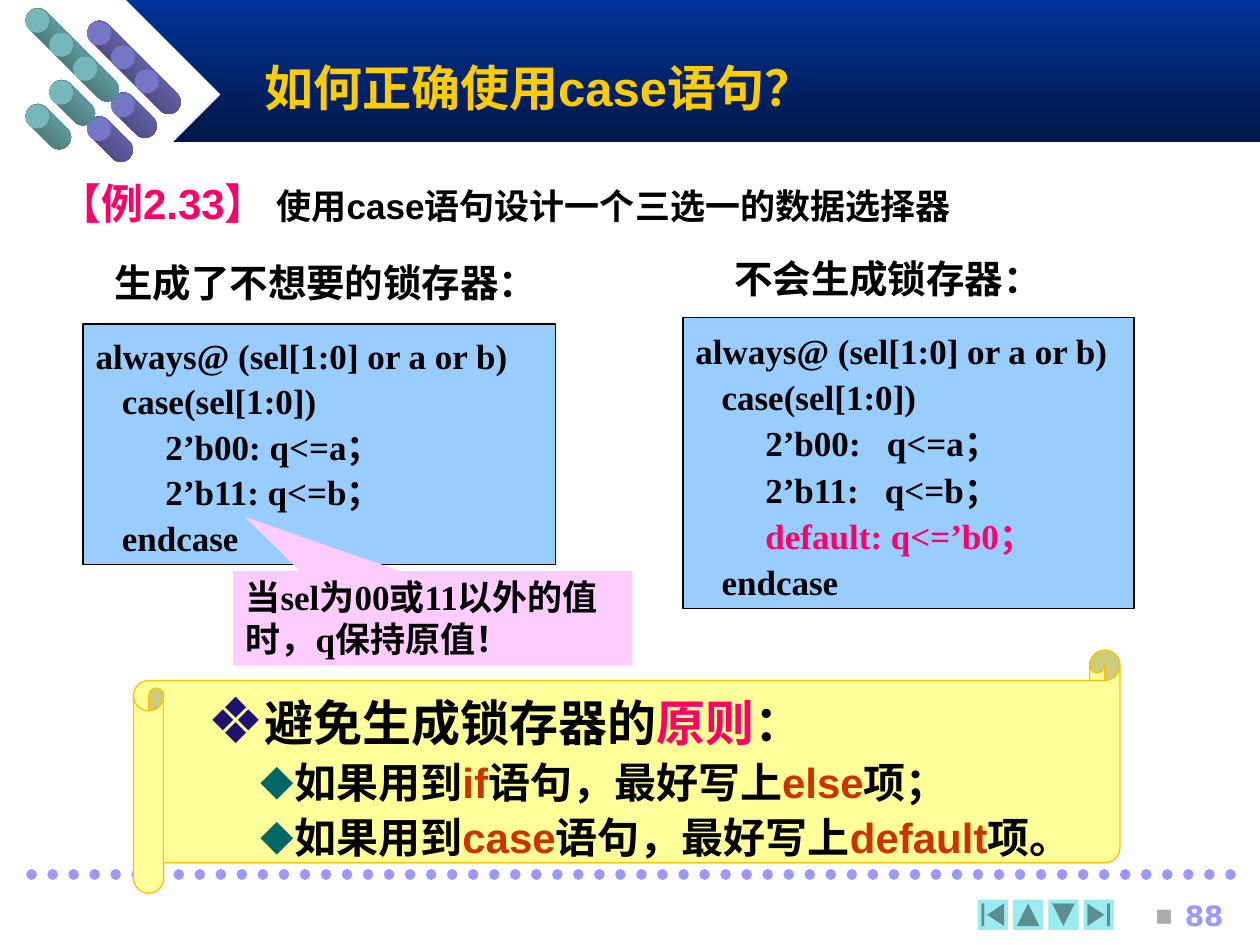
from lxml import etree
from pptx import Presentation
from pptx.dml.color import RGBColor
from pptx.enum.dml import MSO_LINE_DASH_STYLE as DASH
from pptx.enum.shapes import MSO_CONNECTOR, MSO_SHAPE as SHAPE
from pptx.enum.text import MSO_ANCHOR as ANCHOR, PP_ALIGN as ALIGN
from pptx.oxml.ns import qn
from pptx.util import Inches, Pt

BLACK, WHITE = RGBColor(0, 0, 0), RGBColor(255, 255, 255)
BLUE, NAVY = RGBColor(0x00, 0x33, 0x99), RGBColor(0x00, 0x17, 0x46)
GOLD, AMBER = RGBColor(0xFF, 0xCC, 0x00), RGBColor(0xFF, 0xC0, 0x00)
PINK, RUST = RGBColor(0xFF, 0x00, 0x66), RGBColor(0xCC, 0x33, 0x00)
SKY, ROSE = RGBColor(0x99, 0xCC, 0xFF), RGBColor(0xFF, 0xCC, 0xFF)
CREAM, LILAC = RGBColor(0xFF, 0xFF, 0x99), RGBColor(0x99, 0x99, 0xFF)
AQUA, GREY = RGBColor(0x98, 0xEC, 0xF2), RGBColor(0xAA, 0xAA, 0xAA)
INDIGO, TEAL = RGBColor(0x1E, 0x11, 0x6F), RGBColor(0x00, 0x66, 0x66)
ARIAL, TIMES, CJK = "Arial", "Times New Roman", "Noto Sans CJK SC"

# Content: a paragraph is a list of (text, overrides) runs
TITLE = [[("如何正确使用case语句？", {})]]
EXAMPLE = [[("【例2.33】", {"size": 24, "color": PINK}), (" 使用case语句", {}),
            ("设计一个", {"font": "Cabin"}), ("三选一的数据", {}),
            ("选择器", {"font": "Cabin"})]]
HEADINGS = [("生成了不想要的锁存器：", (0.81, 2, 3.67, 0.47)),
            ("不会生成锁存器：", (5.73, 1.97, 2.84, 0.47))]
LATCH_CODE = [[(line, {})] for line in (
    "always@ (sel[1:0] or a or b)", "   case(sel[1:0])",
    "        2’b00: q<=a；", "        2’b11: q<=b；", "   endcase")]
SAFE_CODE = [[(line, {})] for line in (
    "always@ (sel[1:0] or a or b)", "   case(sel[1:0])",
    "        2’b00:   q<=a；", "        2’b11:   q<=b；")]
SAFE_CODE += [[("        ", {}), ("default: q<=’b0；", {"color": PINK})],
              [("   endcase", {})]]
WARNING = [[("当sel为00或11以外的值时，q保持原值！", {})]]
KEY = {"size": 24, "color": RUST}
SUB = {"size": 24}
RULES = [
    [("避免生成锁存器的", {}), ("原则", {"color": PINK}), ("：", {})],
    [("如果用到", SUB), ("if", KEY), ("语句，最好写上", SUB), ("else", KEY), ("项；", SUB)],
    [("如果用到", SUB), ("case", KEY), ("语句，最好写上", SUB), ("default", KEY), ("项。", SUB)]]
# Cylinders: face colour, dark edge, left and top of the arrow
CYLINDERS = [
    (RGBColor(0x76, 0x76, 0xC6), RGBColor(0x3A, 0x3A, 0x66), 0.69, 0.17),
    (RGBColor(0x75, 0xB7, 0xBB), RGBColor(0x38, 0x60, 0x62), 0.20, 0.07)]
ARROW_STEPS = [(0, 0), (1, 1), (2, 2), (1, 3), (0, 4)]
BUTTONS = [(SHAPE.ACTION_BUTTON_BEGINNING, 0),
           (SHAPE.ACTION_BUTTON_BACK_OR_PREVIOUS, 90),
           (SHAPE.ACTION_BUTTON_FORWARD_OR_NEXT, 90),
           (SHAPE.ACTION_BUTTON_END, 0)]

prs = Presentation()
prs.slide_width, prs.slide_height = Inches(10), Inches(7.5)
s = prs.slides.add_slide(prs.slide_layouts[5])


def add_text(sp, paras, size=20, font=ARIAL, color=BLACK, anchor=ANCHOR.BOTTOM,
             align=ALIGN.LEFT, before=0, spacing=None):
    tf = sp.text_frame
    tf.word_wrap, tf.vertical_anchor = True, anchor
    for i, runs in enumerate(paras):
        p = tf.paragraphs[0] if i == 0 else tf.add_paragraph()
        p.alignment, p.space_before = align, Pt(before)
        if spacing:
            p.line_spacing = spacing
        for text, fmt in runs:
            r = p.add_run()
            r.text = text
            f = r.font
            f.name, f.size, f.bold = fmt.get("font", font), Pt(fmt.get("size", size)), True
            f.color.rgb = fmt.get("color", color)
            # Chinese text stays sans-serif beside Times
            east_asian = ARIAL if f.name == TIMES else f.name
            etree.SubElement(f._element, qn("a:ea"), typeface=east_asian)
    return tf


def add_shape(kind, box, fill, line=None, width=1):
    sp = s.shapes.add_shape(kind, *map(Inches, box))
    sp.shadow.inherit = False
    sp.fill.solid()
    sp.fill.fore_color.rgb = fill
    if line is None:
        sp.line.fill.background()
    else:
        sp.line.color.rgb, sp.line.width = line, Pt(width)
    return sp


def add_box(box):
    return s.shapes.add_textbox(*map(Inches, box))


def set_gradient(sp, colors, angle):
    sp.fill.gradient()
    sp.fill.gradient_angle = angle
    for stop, color in zip(sp.fill.gradient_stops, colors):
        stop.color.rgb = color


def set_bullet(p, char, color, left, hang, percent=100, font=CJK):
    pPr = p._p.get_or_add_pPr()
    pPr.set("marL", str(Inches(left + hang)))
    pPr.set("indent", str(-Inches(hang)))
    clr = etree.SubElement(pPr, qn("a:buClr"))
    etree.SubElement(clr, qn("a:srgbClr"), val=str(color))
    etree.SubElement(pPr, qn("a:buSzPct"), val=str(percent * 1000))
    etree.SubElement(pPr, qn("a:buFont"), typeface=font)
    etree.SubElement(pPr, qn("a:buChar"), char=char)


# Banner and cylinder arrows
banner = add_shape(SHAPE.RECTANGLE, (1, 0, 9, 1.13), BLUE)
set_gradient(banner, (BLUE, NAVY), 270)
add_shape(SHAPE.DIAMOND, (0.25, 0, 1.5, 1.5), WHITE)
DOT, STEP, LENGTH = 0.19, 0.19, 0.43
for face, edge, left, top in CYLINDERS:
    for col, row in ARROW_STEPS:
        x, y = left + col * STEP, top + row * STEP
        mid_x, mid_y = x + DOT / 2 + 0.09, y + DOT / 2 + 0.08
        body = add_shape(SHAPE.ROUNDED_RECTANGLE,
                         (mid_x - LENGTH / 2, mid_y - DOT / 2, LENGTH, DOT), face)
        body.adjustments[0] = 0.5
        body.rotation = 45
        set_gradient(body, (face, edge), 270)
        add_shape(SHAPE.OVAL, (x, y, DOT, DOT), face)

# Footer: dotted rule, navigation buttons, page number
rule = s.shapes.add_connector(MSO_CONNECTOR.STRAIGHT, Inches(0.25), Inches(6.94),
                              Inches(9.83), Inches(6.94))
rule.line.color.rgb, rule.line.width = LILAC, Pt(6)
rule.line.dash_style = DASH.ROUND_DOT
rule.line._get_or_add_ln().set("cap", "rnd")
etree.SubElement(rule._element.spPr, qn("a:effectLst"))
for i, (kind, angle) in enumerate(BUTTONS):
    add_shape(kind, (7.76 + i * 0.28, 7.14, 0.24, 0.24), AQUA).rotation = angle
tf = add_text(add_box((8.86, 7.08, 0.95, 0.33)), [[("88", {})]], size=16,
              font="DejaVu Sans", color=LILAC, anchor=ANCHOR.TOP, align=ALIGN.RIGHT)
set_bullet(tf.paragraphs[0], "▪", GREY, 0, 0.24, font="DejaVu Sans")

# Title, brought in front of the banner
title = s.shapes.title
title.left, title.top, title.width, title.height = map(Inches, (2, 0.23, 7.25, 0.74))
add_text(title, TITLE, size=28, color=GOLD)
s.shapes.element.append(title.element)

# Example line and the two code samples
add_text(add_box((0.37, 1.27, 7.69, 0.59)), EXAMPLE, spacing=1.2)
for text, box in HEADINGS:
    add_text(add_box(box), [[(text, {})]], size=22, font=CJK)
add_text(add_shape(SHAPE.RECTANGLE, (0.66, 2.57, 3.75, 1.91), SKY, BLACK),
         LATCH_CODE, font=TIMES, before=2)
add_text(add_shape(SHAPE.RECTANGLE, (5.42, 2.52, 3.58, 2.31), SKY, BLACK),
         SAFE_CODE, font=TIMES, spacing=1.1)

# Callout
callout = add_shape(SHAPE.RECTANGULAR_CALLOUT, (1.85, 4.53, 3.17, 0.75), ROSE)
callout.adjustments[0], callout.adjustments[1] = -0.47, -1.07
add_text(callout, WARNING, font=TIMES)

# Scroll with the rules
scroll = add_shape(SHAPE.HORIZONTAL_SCROLL, (1.06, 5.16, 7.83, 1.93), CREAM, AMBER, 0.75)
scroll.adjustments[0] = 0.125
tf = add_text(scroll, RULES, size=28, anchor=ANCHOR.TOP, align=ALIGN.JUSTIFY, spacing=1.1)
tf.margin_left, tf.margin_right = Inches(0.35), Inches(0.1)
for i, p in enumerate(tf.paragraphs):
    if i == 0:
        set_bullet(p, "❖", INDIGO, 0, 0.21, 130, "DejaVu Sans")
    else:
        p.level = 1
        set_bullet(p, "◆", TEAL, 0.42, 0.26, 80)

prs.save("out.pptx")
